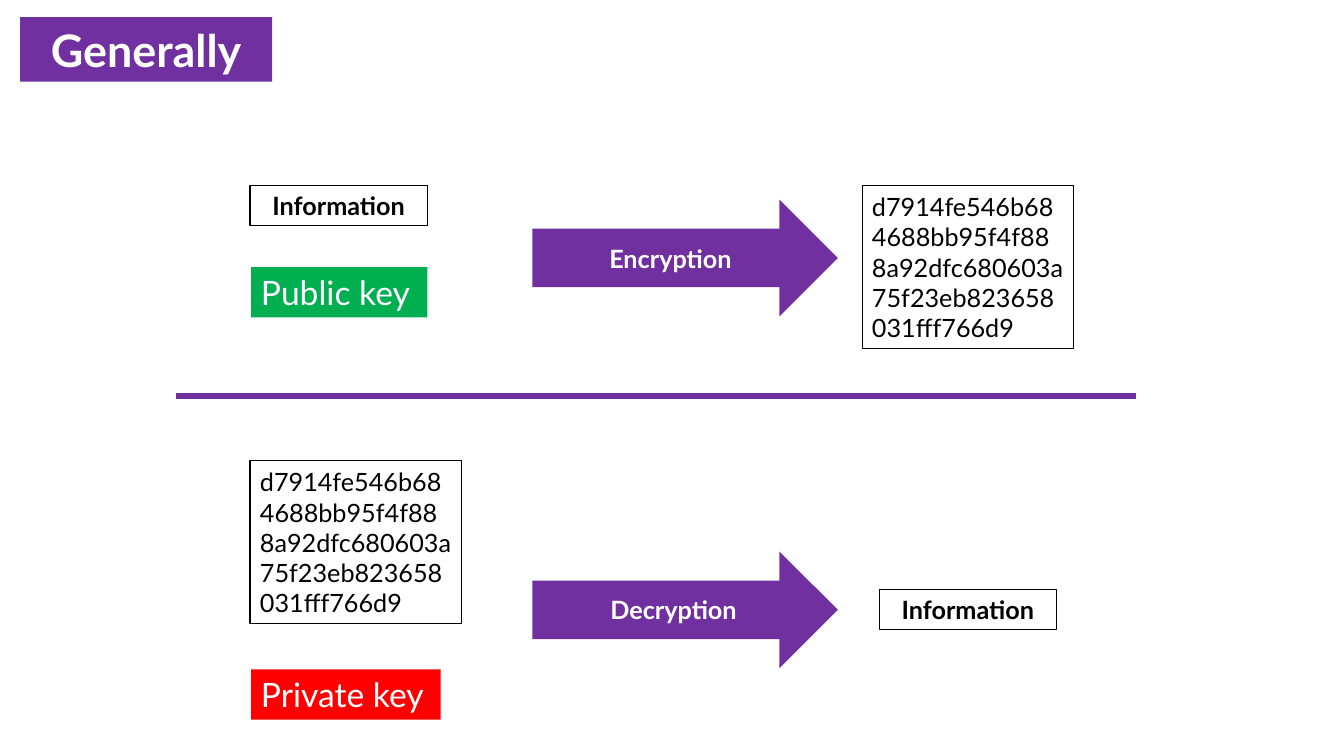
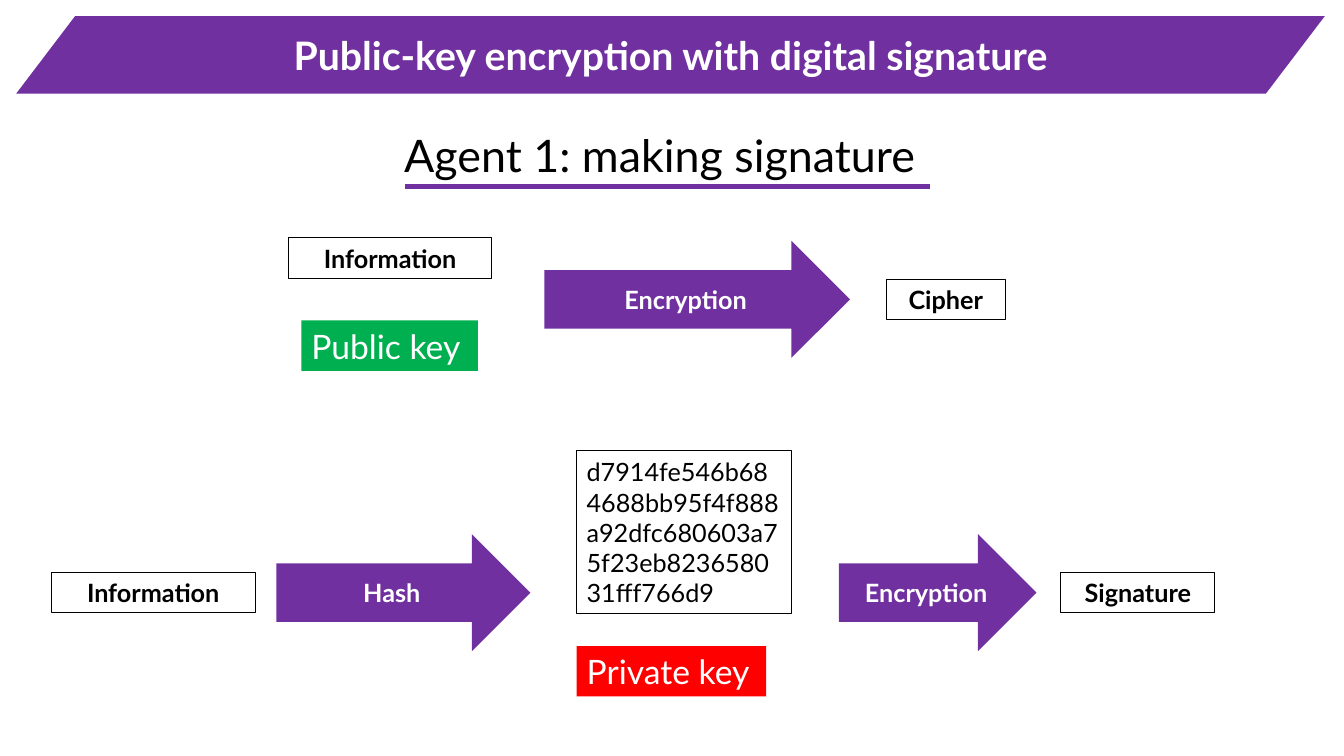
from lxml import etree
from pptx import Presentation
from pptx.dml.color import RGBColor
from pptx.enum.shapes import MSO_CONNECTOR as Connector
from pptx.enum.shapes import MSO_SHAPE as Shape
from pptx.enum.text import MSO_ANCHOR as Anchor
from pptx.enum.text import MSO_AUTO_SIZE as AutoSize
from pptx.enum.text import PP_ALIGN as Align
from pptx.oxml.ns import qn
from pptx.util import Emu, Pt

PX = 9144  # 100 px to the inch
SLIDE_WIDTH, SLIDE_HEIGHT = 1333, 750
TITLE_ONLY = 5

PURPLE = RGBColor(0x70, 0x30, 0xA0)
GREEN = RGBColor(0x00, 0xB0, 0x50)
RED = RGBColor(0xFF, 0x00, 0x00)
WHITE = RGBColor(0xFF, 0xFF, 0xFF)
BLACK = RGBColor(0x00, 0x00, 0x00)

FONT = "Lato"
LABEL_HEIGHT, ARROW_HEIGHT, DIGEST_HEIGHT, KEY_HEIGHT = 40, 116, 162, 50
DIGEST = "d7914fe546b684688bb95f4f888a92dfc680603a75f23eb823658031fff766d9"
PUBLIC_KEY = ("Public key", 175, GREEN)
PRIVATE_KEY = ("Private key", 188, RED)


def px(*lengths):
    return [Emu(length * PX) for length in lengths]


def write(shape, text, size, color, bold=False, align=Align.CENTER):
    frame = shape.text_frame
    frame_format = {"word_wrap": True, "auto_size": AutoSize.NONE,
                    "vertical_anchor": Anchor.MIDDLE}
    for name, value in frame_format.items():
        setattr(frame, name, value)
    frame.text = text
    paragraph = frame.paragraphs[0]
    paragraph.alignment = align
    font_format = {"name": FONT, "size": Pt(size), "bold": bold}
    for name, value in font_format.items():
        setattr(paragraph.font, name, value)
    paragraph.font.color.rgb = color


# Shared parts
def add_block(slide, kind, box, fill=None, line=None):
    shape = slide.shapes.add_shape(kind, *px(*box))
    shape.shadow.inherit = False
    if fill is None:
        shape.fill.background()
    else:
        shape.fill.solid()
        shape.fill.fore_color.rgb = fill
    if line is None:
        shape.line.fill.background()
    else:
        shape.line.color.rgb = line
        shape.line.width = Pt(0.75)
    return shape


def add_label(slide, text, left, top, width):
    box = (left, top, width, LABEL_HEIGHT)
    shape = add_block(slide, Shape.RECTANGLE, box, line=BLACK)
    write(shape, text, 18, BLACK, bold=True)


def add_digest(slide, left, top, width):
    box = (left, top, width, DIGEST_HEIGHT)
    shape = add_block(slide, Shape.RECTANGLE, box, line=BLACK)
    write(shape, DIGEST, 18, BLACK, align=Align.LEFT)


def add_key(slide, key, left, top):
    text, width, color = key
    box = (left, top, width, KEY_HEIGHT)
    shape = add_block(slide, Shape.RECTANGLE, box, fill=color)
    write(shape, text, 24, WHITE, align=Align.LEFT)


def add_arrow(slide, text, left, top, width):
    box = (left, top, width, ARROW_HEIGHT)
    shape = add_block(slide, Shape.RIGHT_ARROW, box, fill=PURPLE)
    write(shape, text, 18, WHITE, bold=True)


def add_rule(slide, left, top, width):
    rule = slide.shapes.add_connector(
        Connector.STRAIGHT, *px(left, top, left + width, top))
    rule.line.color.rgb = PURPLE
    rule.line.width = Pt(4.25)
    etree.SubElement(rule.element.spPr, qn("a:effectLst"))


def add_titled_slide(presentation, text, kind, box, size):
    slide = presentation.slides.add_slide(
        presentation.slide_layouts[TITLE_ONLY])
    title = slide.shapes.title
    title.left, title.top, title.width, title.height = px(*box)
    write(title, text, size, WHITE, bold=True)
    # The band lies behind the title
    band = add_block(slide, kind, box, fill=PURPLE)
    title.element.addprevious(band.element)
    return slide, band


# Regions of the general scheme
def draw_encryption(slide, left, top):
    add_label(slide, "Information", left, top, 176)
    add_key(slide, PUBLIC_KEY, left + 1, top + 81)
    add_arrow(slide, "Encryption", left + 280, top + 14, 303)
    add_digest(slide, left + 607, top, 210)


def draw_decryption(slide, left, top):
    add_digest(slide, left, top, 210)
    add_key(slide, PRIVATE_KEY, left + 1, top + 207)
    add_arrow(slide, " Decryption", left + 280, top + 90, 303)
    add_label(slide, "Information", left + 624, top + 128, 176)


# Regions of the signature scheme
def draw_heading(slide, left, top, width):
    heading = slide.shapes.add_textbox(*px(left, top, width, 64))
    write(heading, "Agent 1: making signature", 32, BLACK, align=Align.LEFT)
    add_rule(slide, left + 11, top + 64, 520)


def draw_cipher_row(slide, left, top):
    add_label(slide, "Information", left, top, 202)
    add_key(slide, PUBLIC_KEY, left + 13, top + 82)
    add_arrow(slide, " Encryption", left + 254, top + 3, 303)
    add_label(slide, "Сipher", left + 593, top + 41, 118)


def draw_signature_row(slide, left, top):
    arrow_top, label_top = top + 83, top + 121
    add_label(slide, "Information", left, label_top, 202)
    add_arrow(slide, " Hash", left + 223, arrow_top, 252)
    add_digest(slide, left + 521, top, 213)
    add_key(slide, PRIVATE_KEY, left + 521, top + 194)
    add_arrow(slide, " Encryption", left + 781, arrow_top, 196)
    add_label(slide, "Signature", left + 1001, label_top, 153)


# Slides
def build_general_slide(presentation):
    slide, _ = add_titled_slide(presentation, "Generally", Shape.RECTANGLE,
                                (20, 17, 250, 64), 32)
    draw_encryption(slide, 248, 184)
    add_rule(slide, 175, 393, 952)
    draw_decryption(slide, 248, 457)


def build_signature_slide(presentation):
    slide, band = add_titled_slide(
        presentation, "Public-key encryption with digital signature",
        Shape.PARALLELOGRAM, (16, 16, 1298, 77), 28)
    band.adjustments[0] = 0.76
    draw_heading(slide, 391, 121, 547)
    draw_cipher_row(slide, 286, 236)
    draw_signature_row(slide, 51, 447)


def main():
    presentation = Presentation()
    presentation.slide_width, presentation.slide_height = px(
        SLIDE_WIDTH, SLIDE_HEIGHT)
    build_general_slide(presentation)
    build_signature_slide(presentation)
    presentation.save("out.pptx")


if __name__ == "__main__":
    main()
